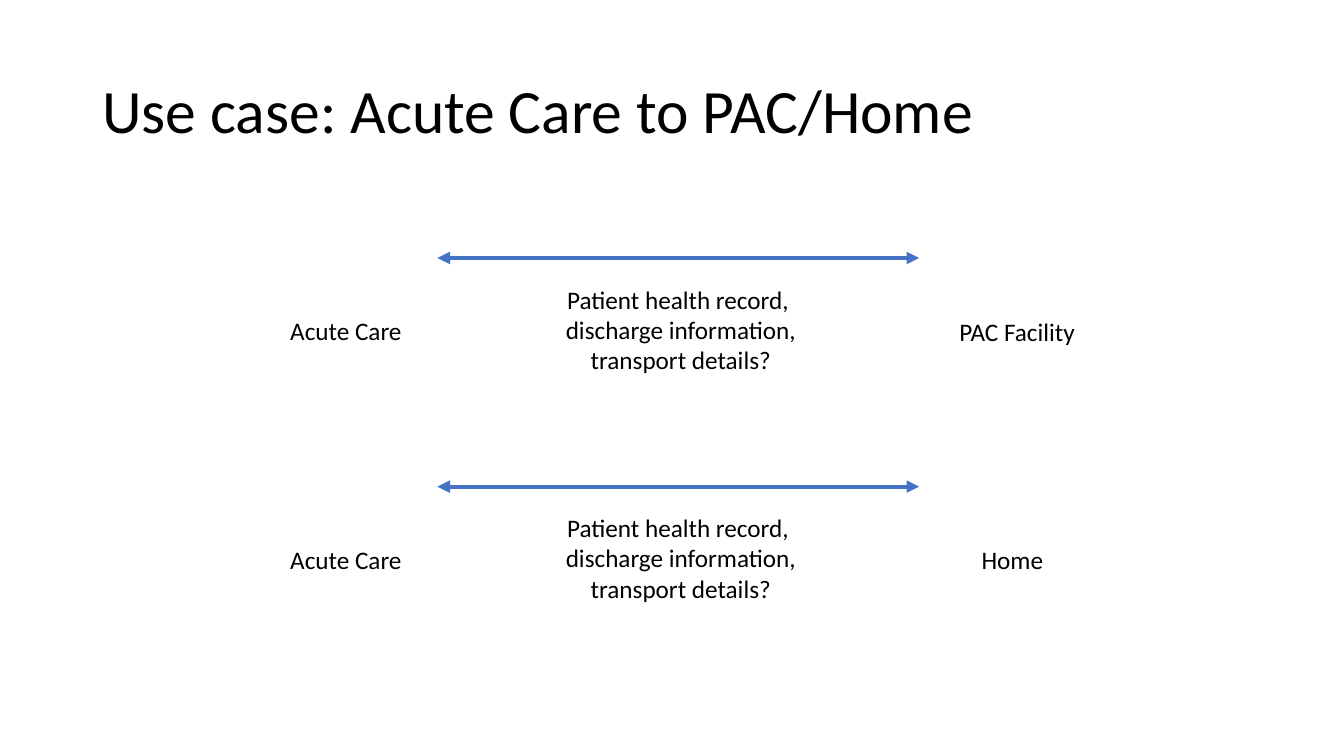
from lxml import etree
from pptx import Presentation
from pptx.dml.color import RGBColor
from pptx.enum.shapes import MSO_CONNECTOR
from pptx.enum.text import MSO_ANCHOR, MSO_AUTO_SIZE, PP_ALIGN
from pptx.oxml.ns import qn
from pptx.util import Pt

LEFT, CENTER = PP_ALIGN.LEFT, PP_ALIGN.CENTER
TOP, MIDDLE = MSO_ANCHOR.TOP, MSO_ANCHOR.MIDDLE
GROW, FIXED = MSO_AUTO_SIZE.SHAPE_TO_FIT_TEXT, MSO_AUTO_SIZE.NONE
STRAIGHT = MSO_CONNECTOR.STRAIGHT


def color(code):
    return RGBColor.from_string(code)


class Board:
    """Holds the style and the current slide."""
    face, ink, blue = "Calibri", "000000", "4472C4"

    def __init__(self, slide):
        self.slide = slide

    def text(self, box, lines, size=18, align=LEFT, frame=None, space=None):
        shape = self.slide.shapes.add_textbox(*map(Pt, box))
        body = shape.text_frame
        look = {"word_wrap": False, "auto_size": GROW, "vertical_anchor": TOP}
        for key, value in (look | (frame or {})).items():
            setattr(body, key, value)
        body.text = "\n".join(lines)
        for para in body.paragraphs:
            para.alignment = align
            para.line_spacing = space
            for key, value in {"name": self.face, "size": Pt(size)}.items():
                setattr(para.font, key, value)
            para.font.color.rgb = color(self.ink)

    def arrow(self, start, end, y):
        link = self.slide.shapes.add_connector(
            STRAIGHT, Pt(start), Pt(y), Pt(end), Pt(y))
        link.line.width = Pt(3)
        link.line.color.rgb = color(self.blue)
        props = link.line._get_or_add_ln()
        for tag in ("a:headEnd", "a:tailEnd"):
            etree.SubElement(props, qn(tag), type="triangle")
        etree.SubElement(link._element.spPr, qn("a:effectLst"))


def main():
    deck = Presentation()
    deck.slide_width, deck.slide_height = Pt(960), Pt(540)
    board = Board(deck.slides.add_slide(deck.slide_layouts[6]))

    # Title
    board.text((66, 28.8, 828, 104.4), ["Use case: Acute Care to PAC/Home"], 44,
               frame={"word_wrap": True, "auto_size": FIXED,
                      "vertical_anchor": MIDDLE}, space=0.9)

    # One exchange per row: sender, receiver, arrow, shared data
    details = ["Patient health record, ", "discharge information,",
               "transport details?"]
    targets = [("PAC Facility", 678.2, 98), ("Home", 694, 59)]
    for row, (name, left, width) in enumerate(targets):
        y = 184.3 + row * 163.3
        board.text((200.2, y + 37.6, 95, 29), ["Acute Care"])
        board.text((left, y + 37.8, width, 29), [name])
        board.arrow(656.6, 312.5, y)
        board.text((395.3, y + 14.9, 182, 72.7), details, align=CENTER)

    deck.save("out.pptx")


if __name__ == "__main__":
    main()
